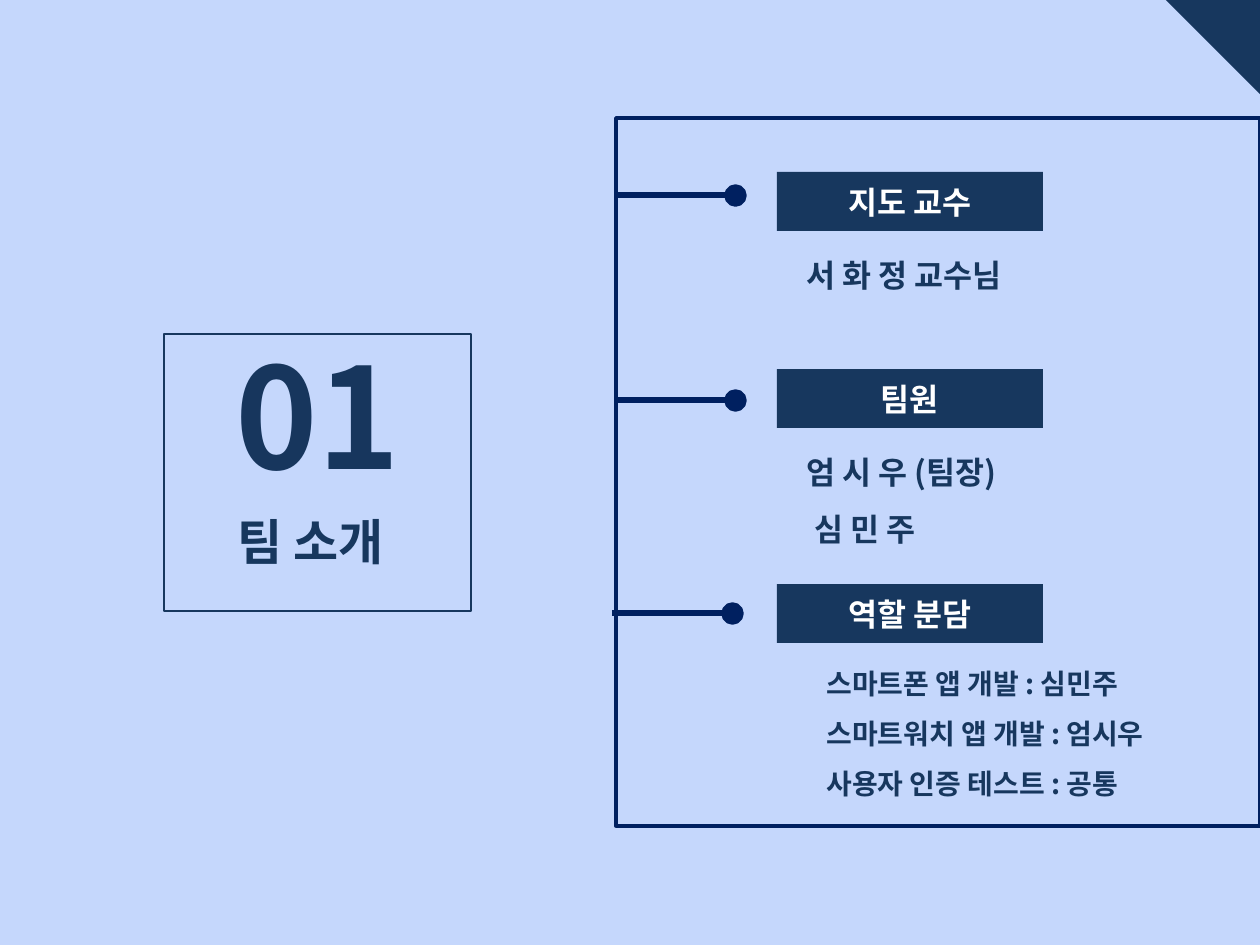
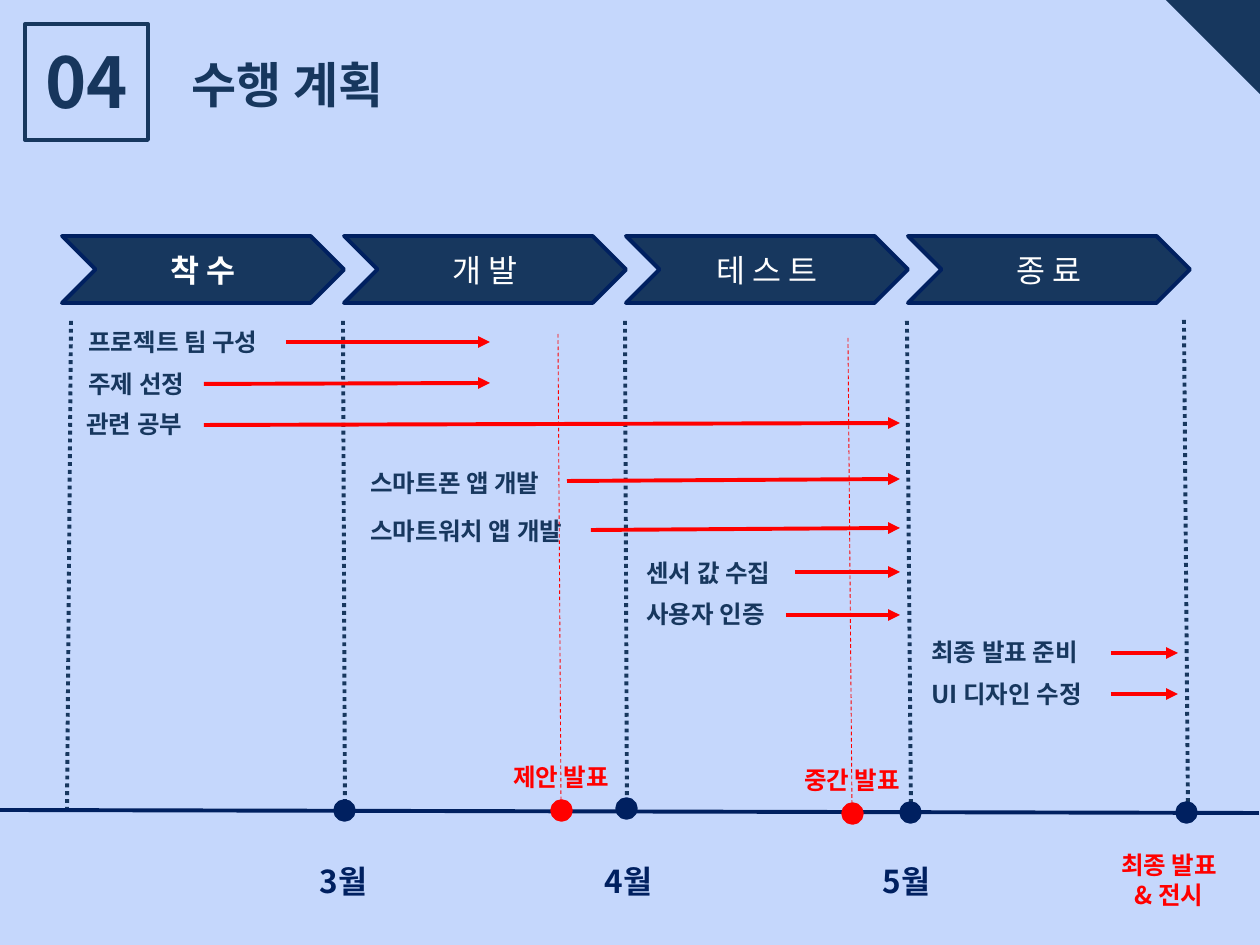
from lxml.etree import SubElement
from pptx import Presentation
from pptx.dml.color import RGBColor
from pptx.enum.dml import MSO_LINE as Dash
from pptx.enum.shapes import MSO_CONNECTOR as Connector, MSO_SHAPE as Form
from pptx.enum.text import MSO_ANCHOR as Anchor, MSO_AUTO_SIZE as AutoSize, PP_ALIGN as Align
from pptx.oxml.ns import qn
from pptx.util import Inches, Pt

PX = 914400 / 126
SKY, NAVY, DEEP, RED, WHITE = "C5D7FC", "17375E", "002060", "FF0000", "FFFFFF"
FONT = "Noto Sans CJK KR"
DOT = 19
color = RGBColor.from_string


def draw(page, form, area, fill=None, line=None, weight=2.0, dash=None, arrow=False):
    area = [round(value * PX) for value in area]
    straight = form is Connector.STRAIGHT
    if straight:
        item = page.shapes.add_connector(form, *area)
    else:
        item = page.shapes.add_shape(form, *area)
        item.shadow.inherit = False
        item.fill.background()
        if fill:
            item.fill.solid()
            item.fill.fore_color.rgb = color(fill)
    item.line.fill.background()
    if line:
        item.line.fill.solid()
        item.line.color.rgb = color(line)
        item.line.width = Pt(weight)
    if dash:
        item.line.dash_style = dash
    if arrow:
        SubElement(item.line._get_or_add_ln(), qn("a:tailEnd"), type="triangle")
    if straight:
        SubElement(item._element.spPr, qn("a:effectLst"))
    return item


def write(box, text, size, ink=NAVY, align=Align.LEFT, bold=True, face=FONT,
          spacing=1.0, anchor=Anchor.TOP, area=None):
    if area:
        box.left, box.top, box.width, box.height = [round(value * PX) for value in area]
    frame = box.text_frame
    frame.text = text
    for name, value in {"word_wrap": True, "auto_size": AutoSize.NONE,
                        "vertical_anchor": anchor}.items():
        setattr(frame, name, value)
    for para in frame.paragraphs:
        for name, value in {"alignment": align, "line_spacing": spacing,
                            "space_before": Pt(0)}.items():
            setattr(para, name, value)
        for span in para.runs:
            for name, value in {"size": Pt(size), "bold": bold, "name": face}.items():
                setattr(span.font, name, value)
            span.font.color.rgb = color(ink)
            SubElement(span._r.get_or_add_rPr(), qn("a:ea"), typeface=FONT)
    return frame


deck = Presentation()
deck.slide_width, deck.slide_height = Inches(10), Inches(7.5)
background = deck.slide_master.background.fill
background.solid()
background.fore_color.rgb = color(SKY)

sections = [
    (1, "01", 80, (223, 323, 210, 183), "팀 소개", (203, 505, 215, 72),
     (164, 334, 307, 277), 1.25),
    (5, "04", 40, (33, 32, 125, 97), "수행 계획", (168, 48, 239, 72),
     (25, 24, 123, 116), 2.25),
]
pages = []
for layout, number, size, number_area, title, title_area, badge_area, weight in sections:
    page = deck.slides.add_slide(deck.slide_layouts[layout])
    draw(page, Form.RECTANGLE, badge_area, line=NAVY, weight=weight)
    write(page.shapes.add_textbox(0, 0, 0, 0), number, size, "17365D", area=number_area)
    write(page.shapes.title, title, 28, align=Align.CENTER, area=title_area)
    corner = draw(page, Form.RIGHT_TRIANGLE, (1166, 0, 94, 94), NAVY)
    corner.rotation = 180
    pages.append(page)
team, plan = pages

draw(team, Form.RECTANGLE, (616, 118, 644, 708), line=DEEP)
branches = [("지도 교수", 172, 615, 195), ("팀원", 369, 615, 400), ("역할 분담", 584, 612, 613)]
for heading, top, left, middle in branches:
    draw(team, Connector.STRAIGHT, (left, middle, left + 112, middle), line=DEEP, weight=3)
    draw(team, Form.OVAL, (left + 111, middle - 9, DOT, DOT), DEEP, DEEP)
    label = draw(team, Form.RECTANGLE, (777, top, 266, 59), NAVY)
    write(label, heading, 18, WHITE, Align.CENTER, anchor=Anchor.MIDDLE)

write(team.shapes.add_textbox(0, 0, 0, 0), "서 화 정 교수님", 18, face="Roboto",
      spacing=1.5, area=(794, 231, 349, 120))
members = write(team.shapes.add_textbox(0, 0, 0, 0), "엄 시 우 (팀장)\n심 민 주", 18,
                spacing=1.5, area=(794, 428, 349, 150))
members.paragraphs[1]._p.get_or_add_pPr().set("marL", str(round(8 * PX)))

roles = team.placeholders[1]
role_frame = write(roles, "스마트폰 앱 개발 : 심민주\n스마트워치 앱 개발 : 엄시우\n사용자 인증 테스트 : 공통",
                   16, spacing=1.5, area=(814, 643, 392, 261))
for para in role_frame.paragraphs:
    properties = para._p.get_or_add_pPr()
    properties.set("marL", "0")
    properties.set("indent", "0")
    SubElement(properties, qn("a:buNone"))

for index, phase in enumerate(["착 수", "개 발", "테 스 트", "종 료"]):
    chevron = draw(plan, Form.CHEVRON, (62 + 282 * index, 236, 282, 67), NAVY, DEEP, 2.25)
    write(chevron, phase, 18, WHITE, Align.CENTER, bold=index == 0, anchor=Anchor.MIDDLE)

boundaries = [(71, 321, 67, 813), (343, 321, 345, 813), (625, 321, 627, 814),
              (907, 321, 911, 813), (1184, 320, 1188, 808)]
for boundary in boundaries:
    draw(plan, Connector.STRAIGHT, boundary, line=NAVY, weight=2.25, dash=Dash.ROUND_DOT)

tasks = [
    ("프로젝트 팀 구성", 76, 321, (286, 342, 490, 342)),
    ("주제 선정", 76, 363, (204, 384, 490, 383)),
    ("관련 공부", 74, 403, (204, 425, 900, 423)),
    ("스마트폰 앱 개발", 358, 462, (567, 481, 900, 479)),
    ("스마트워치 앱 개발", 358, 510, (591, 530, 900, 528)),
    ("센서 값 수집", 634, 552, (795, 572, 900, 572)),
    ("사용자 인증", 634, 593, (786, 615, 900, 615)),
    ("최종 발표 준비", 919, 631, (1111, 653, 1178, 653)),
    ("UI 디자인 수정", 919, 673, (1111, 694, 1178, 694)),
]
for task, left, top, period in tasks:
    write(plan.shapes.add_textbox(0, 0, 0, 0), task, 14, area=(left, top, 245, 43))
    draw(plan, Connector.STRAIGHT, period, line=RED, weight=2.25, arrow=True)

draw(plan, Connector.STRAIGHT, (0, 810, 1259, 813), line=DEEP, weight=2.25)
milestones = [
    ("3월", 18, DEEP, (335, 801), (282, 856, 123, 50)),
    ("4월", 18, DEEP, (617, 799), (567, 856, 123, 50)),
    ("5월", 18, DEEP, (901, 803), (845, 856, 123, 50)),
    ("최종 발표\n& 전시", 14, RED, (1177, 803), (1090, 844, 158, 72)),
]
for milestone, size, ink, dot, area in milestones:
    draw(plan, Form.OVAL, (*dot, DOT, DOT), DEEP, DEEP)
    write(plan.shapes.add_textbox(0, 0, 0, 0), milestone, size, ink, Align.CENTER, area=area)

reviews = [("제안 발표", (489, 756), (552, 801), (558, 334, 561, 803)),
           ("중간 발표", (780, 759), (843, 804), (848, 338, 852, 806))]
for review, place, dot, guide in reviews:
    draw(plan, Form.OVAL, (*dot, DOT, DOT), RED, RED)
    write(plan.shapes.add_textbox(0, 0, 0, 0), review, 14, RED, Align.CENTER,
          area=(*place, 144, 43))
    draw(plan, Connector.STRAIGHT, guide, line=RED, weight=0.5, dash=Dash.DASH)

deck.save("out.pptx")
